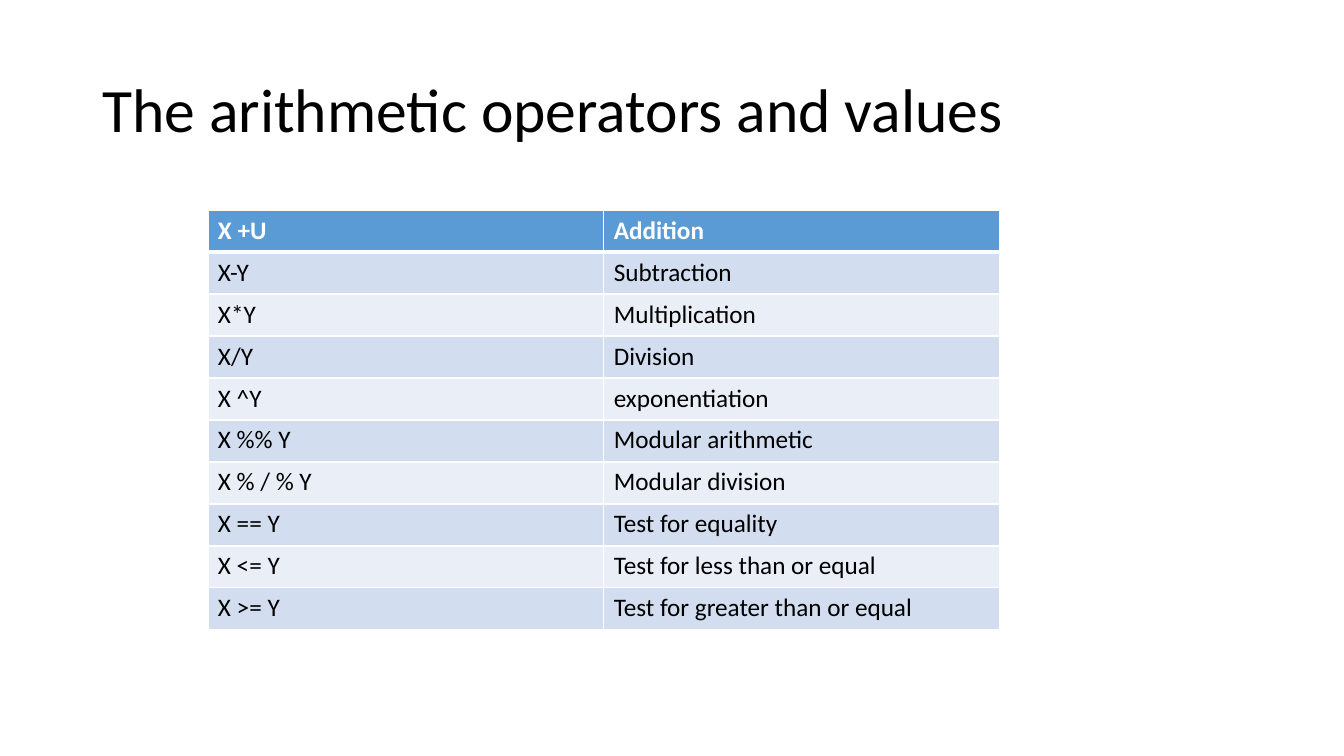
from lxml.etree import SubElement
from pptx import Presentation
from pptx.dml.color import RGBColor
from pptx.enum.text import MSO_ANCHOR, PP_ALIGN
from pptx.oxml.ns import qn
from pptx.util import Emu, Pt

PX = 9525
FONT = "Calibri"
COLORS = {
    "text": "000000",
    "header_text": "FFFFFF",
    "header": "5B9BD5",
    "odd_band": "D2DEEF",
    "even_band": "EAEFF7",
    "border": "FFFFFF",
}
OPERATORS = [
    ("X +U", "Addition"),
    ("X-Y", "Subtraction"),
    ("X*Y", "Multiplication"),
    ("X/Y", "Division"),
    ("X ^Y", "exponentiation"),
    ("X %% Y", "Modular arithmetic"),
    ("X % / % Y", "Modular division"),
    ("X == Y", "Test for equality"),
    ("X <= Y", "Test for less than or equal"),
    ("X >= Y", "Test for greater than or equal"),
]


def px(length):
    return Emu(length * PX)


def color(name):
    return RGBColor.from_string(COLORS[name])


def format_font(font, size, color_name, bold=False):
    font.name = FONT
    font.size = Pt(size)
    font.bold = bold
    font.color.rgb = color(color_name)


def set_borders(cell, top, bottom):
    """Line all four sides; top and bottom widths are in points."""
    properties = cell._tc.get_or_add_tcPr()
    for side, width in (("L", 1), ("R", 1), ("T", top), ("B", bottom)):
        line = SubElement(properties, qn(f"a:ln{side}"), w=str(Pt(width)))
        fill = SubElement(line, qn("a:solidFill"))
        SubElement(fill, qn("a:srgbClr"), val=COLORS["border"])


def place_title(page, text, left, top, width, height):
    title = page.shapes.title
    title.left, title.top = px(left), px(top)
    title.width, title.height = px(width), px(height)
    frame = title.text_frame
    frame.text = text
    frame.word_wrap = True
    frame.vertical_anchor = MSO_ANCHOR.MIDDLE
    para = frame.paragraphs[0]
    para.alignment = PP_ALIGN.LEFT
    para.line_spacing = 0.9
    format_font(para.font, 44, "text")


def fill_cell(cell, text, row):
    is_header = row == 0
    set_borders(cell, top=3 if row == 1 else 1, bottom=3 if is_header else 1)
    cell.fill.solid()
    band = "odd_band" if row % 2 else "even_band"
    cell.fill.fore_color.rgb = color("header" if is_header else band)
    cell.text = text
    format_font(cell.text_frame.paragraphs[0].font, 18,
                "header_text" if is_header else "text", is_header)


def place_table(page, rows, left, top, width, height):
    table = page.shapes.add_table(len(rows), len(rows[0]), px(left), px(top),
                                  px(width), px(height)).table
    for row, texts in enumerate(rows):
        for column, text in enumerate(texts):
            fill_cell(table.cell(row, column), text, row)


def main():
    deck = Presentation()
    deck.slide_width, deck.slide_height = px(1280), px(720)
    page = deck.slides.add_slide(deck.slide_layouts.get_by_name("Title Only"))
    place_title(page, "The arithmetic operators and values", 88, 38, 1104, 139)
    place_table(page, OPERATORS, 198, 200, 754, 400)
    deck.save("out.pptx")


if __name__ == "__main__":
    main()
